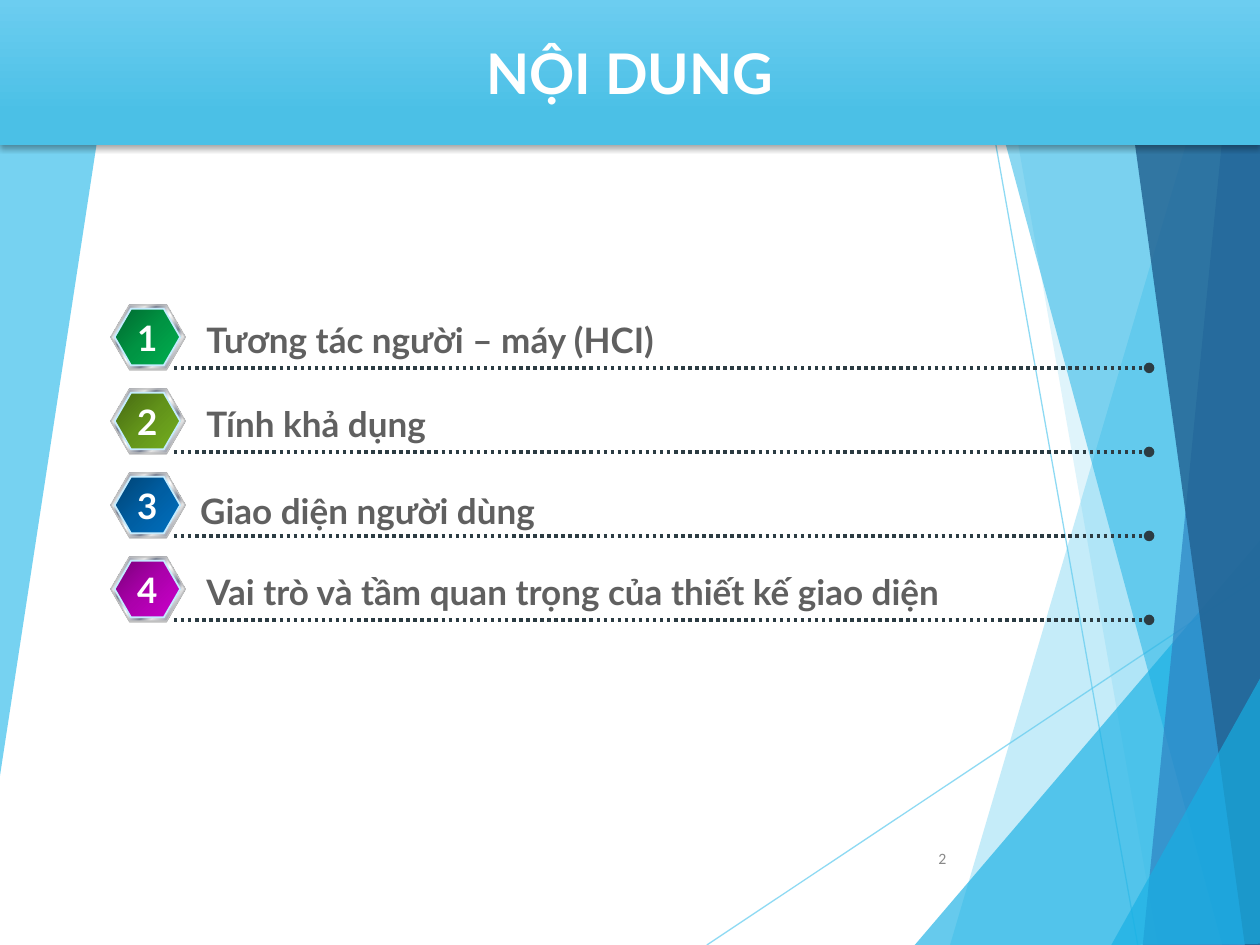
import pptx
import pptx.dml.color
import pptx.enum.dml
import pptx.enum.shapes
import pptx.enum.text
import pptx.oxml
import pptx.oxml.ns
import pptx.util

Inches = pptx.util.Inches
Pt = pptx.util.Pt
Kind = pptx.enum.shapes.MSO_SHAPE
Align = pptx.enum.text.PP_ALIGN
Anchor = pptx.enum.text.MSO_ANCHOR
qn = pptx.oxml.ns.qn

COLORS = {
    "sky": "5FCBEF", "cyan": "17B0E4", "blue": "2E83C3", "navy": "226292",
    "white": "FFFFFF", "label": "606060", "number": "898989", "leader": "2C3C43",
    "under": "808080", "rim": "C0C0C0", "edge": "C5ECFF", "black": "000000",
}
TITLE_STOPS = [(0, "6CCDF0"), (78, "4BC0E6")]
METAL_STOPS = [
    (0, "E6E6E6"), (8, "7D8496"), (26, "E6E6E6"), (34, "7D8496"),
    (46, "E6E6E6"), (50, "FFFFFF"), (54, "E6E6E6"), (66, "7D8496"),
    (74, "E6E6E6"), (92, "7D8496"), (100, "E6E6E6"),
]

# Outline points in inches, colour and opacity in percent, from back to front
FACETS = [
    ([(9.75, 0), (7.54, 7.5), (10.02, 7.51), (10.01, 0.01)], "sky", 36),
    ([(7.88, -0.01), (9.19, 7.5), (10.01, 7.5), (10.01, -0.01)], "sky", 20),
    ([(7.26, 7.5), (10, 4.29), (10.01, 7.5)], "cyan", 66),
    ([(7.67, -0.01), (9.7, 7.5), (10.01, 7.49), (10.01, -0.01)], "cyan", 50),
    ([(9.81, -0.01), (9.07, 7.5), (10.01, 7.5), (10, -0.01)], "blue", 70),
    ([(8.85, -0.01), (9.88, 7.5), (10.02, 7.5), (10, -0.01)], "navy", 82),
    ([(8.82, 7.5), (10.02, 5.35), (10.02, 7.49)], "cyan", 66),
    ([(-0.01, 0), (0.94, -0.01), (0.94, 0.01), (-0.01, 6.22)], "sky", 85),
]
RAYS = [(5.61, 7.5, 10.01, 4.57), (7.7, 0, 9.03, 7.5)]

# Label, gradient of the badge, shift of the label from its regular place
TOPICS = [
    ("Tương tác người – máy (HCI)", ["00682F", "009443", "00B050"], (0, 0)),
    ("Tính khả dụng", ["456812", "62931A", "74AF1F"], (0, 0)),
    ("Giao diện người dùng", ["004272", "005EA2", "0070C0"], (-0.05, 0.02)),
    ("Vai trò và tầm quan trọng của thiết kế giao diện",
     ["790079", "AC00AC", "CC00CC"], (0, 0)),
]


def rgb(name):
    return pptx.dml.color.RGBColor.from_string(COLORS[name])


def add_child(parent, tag, **values):
    child = pptx.oxml.parse_xml(f"<a:{tag} {pptx.oxml.ns.nsdecls('a')}/>")
    for key, value in values.items():
        child.set(key, str(value))
    parent.append(child)
    return child


def set_opacity(part, percent):
    color = next(part._element.spPr.iter(qn("a:srgbClr")))
    add_child(color, "alpha", val=percent * 1000)


def set_gradient(shape, stops, angle):
    shape.fill.gradient()
    shape.fill.gradient_angle = 360 - angle
    stop_list = next(shape._element.spPr.iter(qn("a:gsLst")))
    for old in list(stop_list):
        stop_list.remove(old)
    for position, color in stops:
        stop = add_child(stop_list, "gs", pos=position * 1000)
        add_child(stop, "srgbClr", val=color)


def set_outline(shape, color=None, width=0):
    if color:
        shape.line.color.rgb = rgb(color)
        shape.line.width = Pt(width)
    else:
        shape.line.fill.background()
    shape.shadow.inherit = False


def write(box, text, size, color, align=Align.LEFT, font="Lato", bold=True, **frame):
    for name, value in {"word_wrap": True, **frame}.items():
        setattr(box.text_frame, name, value)
    para = box.text_frame.paragraphs[0]
    para.alignment = align
    span = para.add_run()
    span.text = text
    formats = {"name": font, "size": Pt(size), "bold": bold}
    for name, value in formats.items():
        setattr(span.font, name, value)
    span.font.color.rgb = rgb(color)


def add_line(shapes, ends, color, width):
    line = shapes.add_connector(
        pptx.enum.shapes.MSO_CONNECTOR.STRAIGHT, *[Inches(end) for end in ends])
    line.line.color.rgb = rgb(color)
    line.line.width = Pt(width)
    add_child(line._element.spPr, "effectLst")
    return line


def add_backdrop(page):
    group = page.shapes.add_group_shape()
    for ends in RAYS:
        set_opacity(add_line(group.shapes, ends, "sky", 0.75), 70)
    for points, color, opacity in FACETS:
        outline = [(Inches(x), Inches(y)) for x, y in points]
        builder = group.shapes.build_freeform(*outline[0])
        builder.add_line_segments(outline[1:], close=True)
        facet = builder.convert_to_shape()
        facet.fill.solid()
        facet.fill.fore_color.rgb = rgb(color)
        set_opacity(facet, opacity)
        set_outline(facet)


def add_title(page, left, top, width, height):
    bar = page.shapes.add_shape(
        Kind.RECTANGLE, Inches(left), Inches(top), Inches(width), Inches(height))
    set_gradient(bar, TITLE_STOPS, 90)
    set_outline(bar)
    effects = bar._element.spPr.find(qn("a:effectLst"))
    shadow = add_child(effects, "outerShdw", blurRad=Pt(3.1), dist=Pt(1.8),
                       dir=90 * 60000, rotWithShape=0)
    color = add_child(shadow, "srgbClr", val=COLORS["black"])
    add_child(color, "alpha", val=35000)
    write(bar, "NỘI DUNG", 32, "white", Align.CENTER, vertical_anchor=Anchor.MIDDLE)


def add_hexagon(shapes, left, top, width, height):
    hexagon = shapes.add_shape(
        Kind.HEXAGON, Inches(left), Inches(top), Inches(width), Inches(height))
    hexagon.adjustments[0] = 0.289
    return hexagon


def add_topic(page, left, top, number, topic):
    text, shades, (shift_x, shift_y) = topic
    shapes = page.shapes.add_group_shape().shapes

    # Label
    label = shapes.add_textbox(Inches(left + 0.66 + shift_x),
                               Inches(top + 0.06 + shift_y), Inches(7.58), Inches(0.43))
    write(label, text, 20, "label")

    # Badge: dark base, metal rim, coloured face
    base = add_hexagon(shapes, left, top + 0.01, 0.59, 0.51)
    base.fill.solid()
    base.fill.fore_color.rgb = rgb("under")
    set_outline(base)
    rim = add_hexagon(shapes, left, top, 0.59, 0.51)
    set_gradient(rim, METAL_STOPS, 45)
    set_outline(rim, "rim", 0.75)
    face = add_hexagon(shapes, left + 0.03, top + 0.03, 0.52, 0.45)
    set_gradient(face, zip((0, 50, 100), shades), 45)
    set_outline(face, "edge", 1)
    write(face, str(number), 20, "white", Align.CENTER,
          word_wrap=False, vertical_anchor=Anchor.MIDDLE)

    # Dotted leader with a round end
    leader = add_line(shapes, (left + 0.5, top + 0.5, left + 8.24, top + 0.5), "leader", 2)
    leader.line.dash_style = pptx.enum.dml.MSO_LINE.ROUND_DOT
    add_child(leader.line._get_or_add_ln(), "tailEnd", type="oval")


def add_page_number(page, left, top, width, height):
    box = page.shapes.add_textbox(
        Inches(left), Inches(top), Inches(width), Inches(height))
    write(box, "2", 9, "number", Align.RIGHT, font="Calibri", bold=False,
          vertical_anchor=Anchor.MIDDLE)


def main():
    deck = pptx.Presentation()
    deck.slide_width, deck.slide_height = Inches(10), Inches(7.5)
    page = deck.slides.add_slide(deck.slide_layouts[6])
    add_backdrop(page)
    add_page_number(page, 7.05, 6.61, 0.56, 0.4)
    add_title(page, 0, 0, 10, 1.15)
    pitch = 2 / 3
    for index, topic in enumerate(TOPICS):
        add_topic(page, 0.88, 2.42 + index * pitch, index + 1, topic)
    deck.save("out.pptx")


if __name__ == "__main__":
    main()
